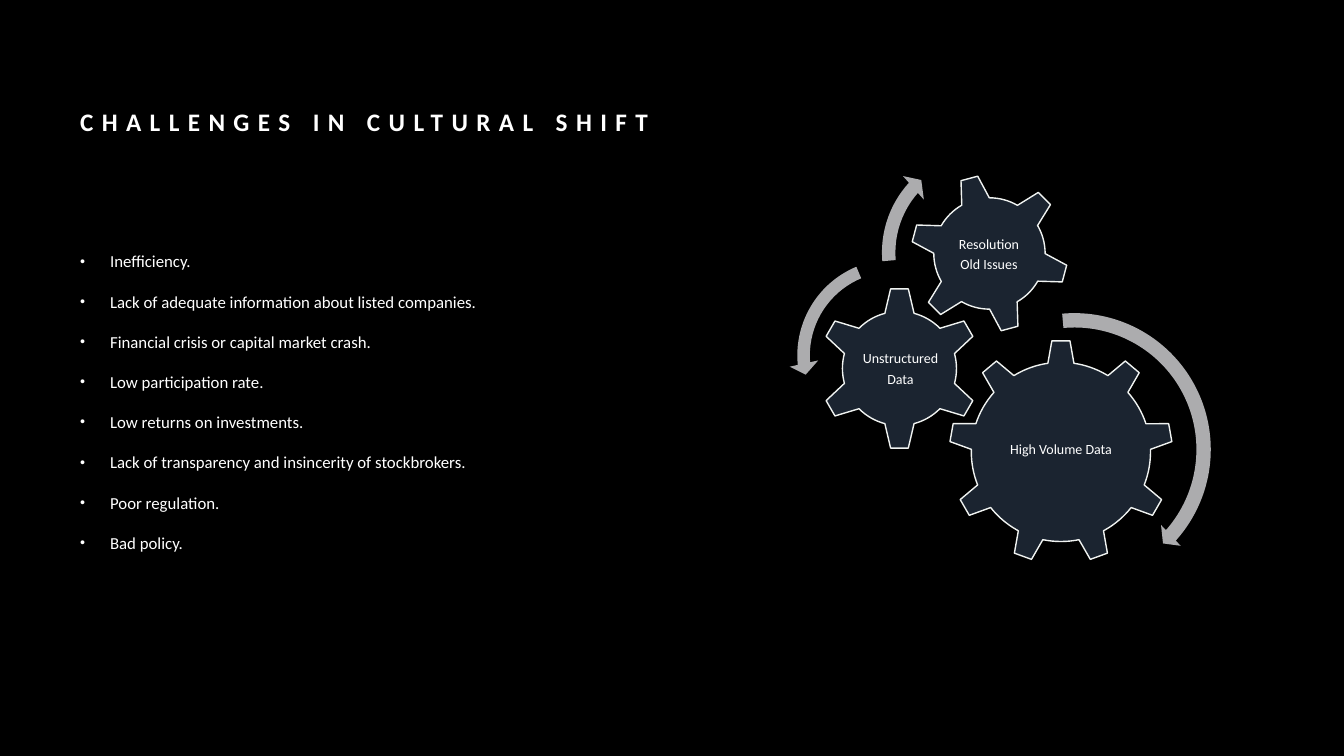
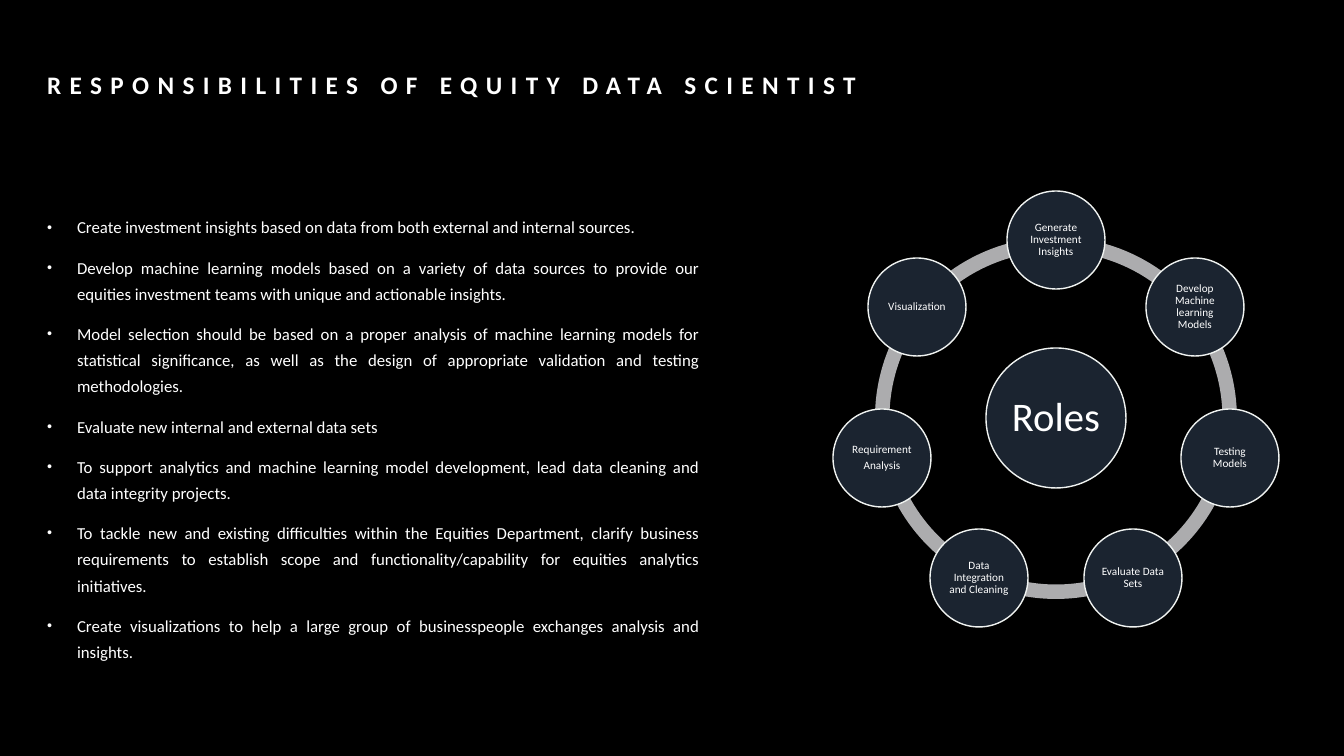
import math

from lxml import etree
from pptx import Presentation
from pptx import util as u
from pptx.dml import color
from pptx.enum import shapes, text
from pptx.oxml import ns

SCALE = 12192000 / 1344
FONT = "Calibri"
COLORS = {"back": "000000", "text": "FFFFFF", "node": "1B2430", "edge": "F0F3F1", "arrow": "ACACAE"}
KIND = shapes.MSO_SHAPE
ALIGN = text.PP_ALIGN
FULL_TURN = 216

CHALLENGES = [
    "Inefficiency.",
    "Lack of adequate information about listed companies.",
    "Financial crisis or capital market crash.",
    "Low participation rate.",
    "Low returns on investments.",
    "Lack of transparency and insincerity of stockbrokers.",
    "Poor regulation.",
    "Bad policy.",
]
GEARS = [
    (KIND.GEAR_9_TOOTH if hasattr(KIND, "GEAR_9_TOOTH") else KIND.GEAR_9,
     (949, 340, 224, 224), 0, (994, 393, 134, 115), ["High Volume Data"]),
    (KIND.GEAR_6, (818, 287, 163, 163), 0, (860, 329, 81, 81), ["Unstructured", "Data"]),
    (KIND.GEAR_6, (910, 174, 159, 159), 345, (944, 210, 90, 90), ["Resolution", "Old Issues"]),
]
ARROWS = [
    (KIND.CIRCULAR_ARROW, (931, 306, 287, 287), (0.05, 2.99, 25.03, 158.9, 0.05)),
    (KIND.LEFT_CIRCULAR_ARROW, (789, 251, 209, 209), (0.06, 4.3, 104.89, 148.38, 0.07)),
    (KIND.CIRCULAR_ARROW, (873, 140, 225, 225), (0.06, 3.94, 133.14, 105.08, 0.07)),
]
RESPONSIBILITIES = [
    "Create investment insights based on data from both external and internal sources.",
    "Develop machine learning models based on a variety of data sources to provide our "
    "equities investment teams with unique and actionable insights.",
    "Model selection should be based on a proper analysis of machine learning models for "
    "statistical significance, as well as the design of appropriate validation and testing "
    "methodologies.",
    "Evaluate new internal and external data sets",
    "To support analytics and machine learning model development, lead data cleaning and "
    "data integrity projects.",
    "To tackle new and existing difficulties within the Equities Department, clarify business "
    "requirements to establish scope and functionality/capability for equities analytics "
    "initiatives.",
    "Create visualizations to help a large group of businesspeople exchanges analysis and insights.",
]
ROLES = [
    ["Generate Investment Insights"],
    ["Develop Machine learning Models"],
    ["Testing Models"],
    ["Evaluate Data Sets"],
    ["Data Integration and Cleaning"],
    ["Requirement", "Analysis"],
    ["Visualization"],
]


def px(*lengths):
    return [u.Emu(round(length * SCALE)) for length in lengths]


def rgb(name):
    return color.RGBColor.from_string(COLORS[name])


def add_bullet(paragraph):
    properties = paragraph._p.get_or_add_pPr()
    indent = px(30)[0]
    properties.set("marL", str(indent))
    properties.set("indent", str(-indent))
    for tag, key, value in (("a:buSzPct", "val", "85000"),
                            ("a:buFont", "typeface", "Arial"),
                            ("a:buChar", "char", "•")):
        etree.SubElement(properties, ns.qn(tag)).set(key, value)


def write_text(frame, lines, size=12, bold=False, align=ALIGN.LEFT, anchor=text.MSO_ANCHOR.TOP,
               spacing=1.0, before=0, after=0, tracking=0, bullet=False, inset=None):
    frame.word_wrap = True
    frame.auto_size = text.MSO_AUTO_SIZE.NONE
    frame.vertical_anchor = anchor
    if inset is not None:
        margin = px(inset)[0]
        frame.margin_left = frame.margin_right = margin
        frame.margin_top = frame.margin_bottom = margin
    for index, line in enumerate(lines):
        paragraph = frame.add_paragraph() if index else frame.paragraphs[0]
        if bullet:
            add_bullet(paragraph)
        paragraph.alignment = align
        paragraph.line_spacing = spacing
        paragraph.space_before = u.Pt(before if index else 0)
        paragraph.space_after = u.Pt(after)
        span = paragraph.add_run()
        span.text = line
        span.font.name = FONT
        span.font.size = u.Pt(size)
        span.font.bold = bold
        span.font.color.rgb = rgb("text")
        if tracking:
            span._r.get_or_add_rPr().set("spc", str(tracking * 100))


class Deck:
    """Holds the shared style and the slide being built."""

    def __init__(self):
        self.deck = Presentation()
        self.deck.slide_width, self.deck.slide_height = px(1344, 756)
        fill = self.deck.slide_master.background.fill
        fill.solid()
        fill.fore_color.rgb = rgb("back")
        self.page = None

    def add_page(self):
        self.page = self.deck.slides.add_slide(self.deck.slide_layouts[1])

    def place(self, box, at):
        box.left, box.top, box.width, box.height = px(*at)

    def title(self, at, words):
        box = self.page.shapes.title
        self.place(box, at)
        write_text(box.text_frame, [words], size=18, bold=True, spacing=1.2, tracking=6,
                   anchor=text.MSO_ANCHOR.BOTTOM)

    def bullets(self, at, lines, align=ALIGN.LEFT):
        box = self.page.placeholders[1]
        self.place(box, at)
        write_text(box.text_frame, lines, align=align, spacing=1.3, before=10, bullet=True)

    def shape(self, kind, at, fill, outlined=False, adjust=(), turn=0):
        box = self.page.shapes.add_shape(kind, *px(*at))
        box.shadow.inherit = False
        box.rotation = turn
        box.fill.solid()
        box.fill.fore_color.rgb = rgb(fill)
        if outlined:
            box.line.color.rgb = rgb("edge")
            box.line.width = u.Pt(1)
        else:
            box.line.fill.background()
        for index, value in enumerate(adjust):
            box.adjustments[index] = value
        return box

    def caption(self, box, lines, size):
        write_text(box.text_frame, lines, size=size, align=ALIGN.CENTER, spacing=0.9,
                   after=size * 0.35, anchor=text.MSO_ANCHOR.MIDDLE, inset=1)

    def gear(self, kind, at, turn, label_at, lines):
        self.shape(kind, at, "node", outlined=True, turn=turn)
        self.caption(self.page.shapes.add_textbox(*px(*label_at)), lines, 10)

    def circle(self, x, y, diameter, lines, size):
        at = (round(x - diameter / 2), round(y - diameter / 2), diameter, diameter)
        self.caption(self.shape(KIND.OVAL, at, "node", outlined=True), lines, size)

    def wheel(self, x, y, hub, roles):
        ring, radius = 362, 178
        ring_at = (x - ring // 2, y - ring // 2, ring, ring)
        step = FULL_TURN / len(roles)
        top = FULL_TURN * 3 / 4
        for index in range(len(roles)):
            start = (top + index * step) % FULL_TURN
            self.shape(KIND.BLOCK_ARC, ring_at, "arrow",
                       adjust=(start, (start + step) % FULL_TURN, 0.04))
        self.circle(x, y, 140, [hub], 29)
        for index, lines in enumerate(roles):
            angle = math.tau * index / len(roles)
            self.circle(x + radius * math.sin(angle), y - radius * math.cos(angle), 98, lines, 8)


def main():
    show = Deck()

    show.add_page()
    show.title((70, 47, 1018, 95), "CHALLENGES IN CULTURAL SHIFT")
    show.bullets((70, 240, 1018, 420), CHALLENGES)
    for gear in GEARS:
        show.gear(*gear)
    for kind, at, adjust in ARROWS:
        show.shape(kind, at, "arrow", adjust=adjust)

    show.add_page()
    show.title((37, 10, 1018, 95), "RESPONSIBILITIES OF EQUITY DATA SCIENTIST")
    show.bullets((37, 206, 673, 530), RESPONSIBILITIES, align=ALIGN.JUSTIFY)
    show.wheel(1056, 418, "Roles", ROLES)

    show.deck.save("out.pptx")


if __name__ == "__main__":
    main()
